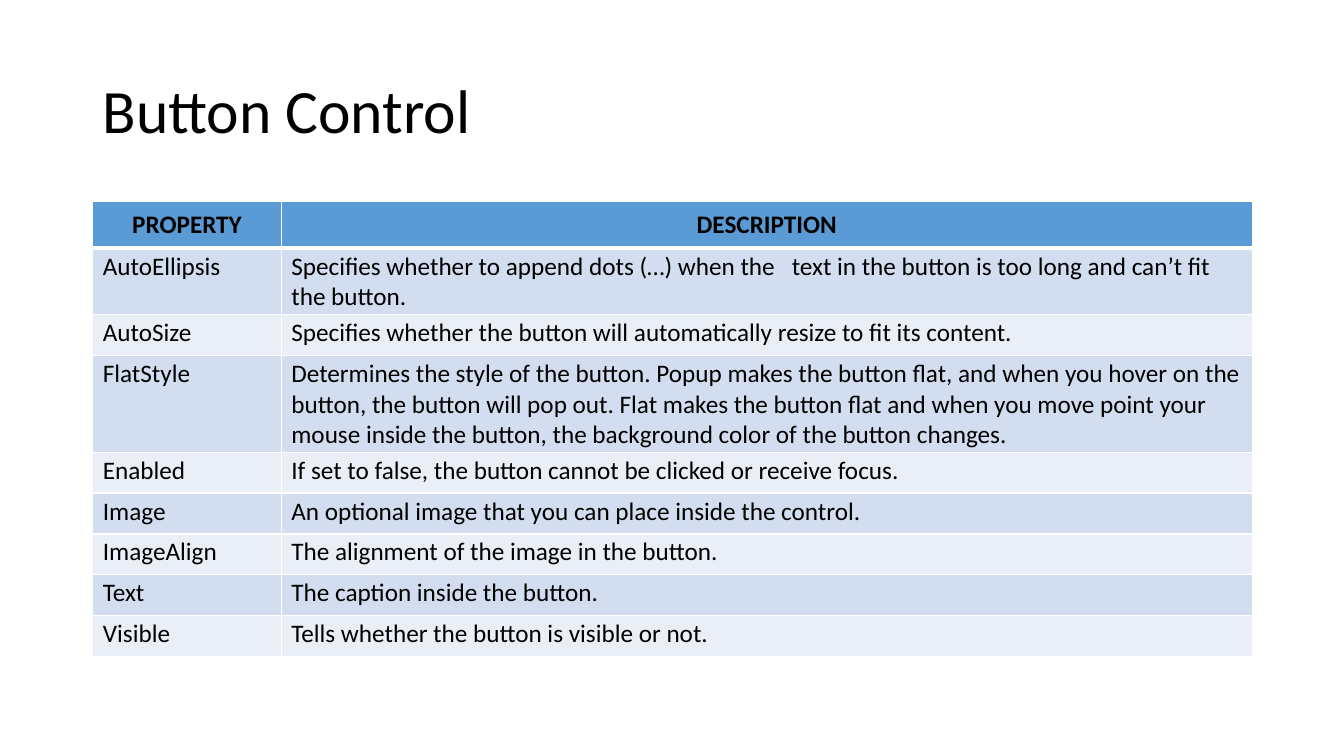
import pptx
import pptx.util
import pptx.dml.color
import pptx.enum.text
from lxml import etree
from pptx.oxml.ns import qn

Inches = pptx.util.Inches
Pt = pptx.util.Pt
Align = pptx.enum.text.PP_ALIGN
Anchor = pptx.enum.text.MSO_ANCHOR

# Content
TITLE = "Button Control"
ROWS = [
    ("PROPERTY", "DESCRIPTION"),
    ("AutoEllipsis", "Specifies whether to append dots (…) when the   text in the button "
     "is too long and can’t fit the button."),
    ("AutoSize", "Specifies whether the button will automatically resize to fit its content."),
    ("FlatStyle", "Determines the style of the button. Popup makes the button flat, and when "
     "you hover on the button, the button will pop out. Flat makes the button flat and when "
     "you move point your mouse inside the button, the background color of the button changes."),
    ("Enabled", "If set to false, the button cannot be clicked or receive focus."),
    ("Image", "An optional image that you can place inside the control."),
    ("ImageAlign", "The alignment of the image in the button."),
    ("Text", "The caption inside the button."),
    ("Visible", "Tells whether the button is visible or not."),
]
FONT, INK, LINE = "Calibri", "000000", "FFFFFF"
HEAD, BANDS = "5B9BD5", ("EAEFF7", "D2DEEF")
LEFT, WIDTH = 0.92, 11.5
COLS = (1.87, 9.63)


def color(code):
    return pptx.dml.color.RGBColor.from_string(code)


def style(par, size, bold=False):
    par.font.name = FONT
    par.font.size = Pt(size)
    par.font.bold = bold
    par.font.color.rgb = color(INK)


def border(cell, sides):
    """Put side lines, widths in points, ahead of the cell fill."""
    props = cell._tc.get_or_add_tcPr()
    for spot, (side, width) in enumerate(sides.items()):
        line = etree.Element(qn("a:ln" + side), w=str(Pt(width)))
        fill = etree.SubElement(line, qn("a:solidFill"))
        etree.SubElement(fill, qn("a:srgbClr"), val=LINE)
        props.insert(spot, line)


def fill_cell(cell, text, row):
    head = row == 0
    cell.text = text
    cell.fill.solid()
    cell.fill.fore_color.rgb = color(HEAD if head else BANDS[row % 2])
    cell.vertical_anchor = Anchor.MIDDLE if head else Anchor.TOP
    cell.margin_left = cell.margin_right = Inches(0.08 if head else 0.1)
    cell.margin_top = cell.margin_bottom = Inches(0.08 if head else 0.03)
    par = cell.text_frame.paragraphs[0]
    par.alignment = Align.CENTER if head else Align.LEFT
    style(par, 18, head)
    border(cell, {"L": 1, "R": 1, "T": 3 if row == 1 else 1, "B": 3 if head else 1})


def main():
    deck = pptx.Presentation()
    deck.slide_width, deck.slide_height = Inches(13.33), Inches(7.5)
    slide = deck.slides.add_slide(deck.slide_layouts[6])

    # Title
    box = slide.shapes.add_textbox(Inches(LEFT), Inches(0.4), Inches(WIDTH), Inches(1.45))
    frame = box.text_frame
    frame.word_wrap = True
    frame.vertical_anchor = Anchor.MIDDLE
    frame.text = TITLE
    frame.paragraphs[0].line_spacing = 0.9
    style(frame.paragraphs[0], 44)

    # Table: equal rows that grow with their text
    table = slide.shapes.add_table(len(ROWS), len(COLS), Inches(LEFT), Inches(2),
                                   Inches(WIDTH), Inches(3.65)).table
    for col, width in zip(table.columns, COLS):
        col.width = Inches(width)
    for row, texts in enumerate(ROWS):
        for col, text in enumerate(texts):
            fill_cell(table.cell(row, col), text, row)

    deck.save("out.pptx")


if __name__ == "__main__":
    main()
